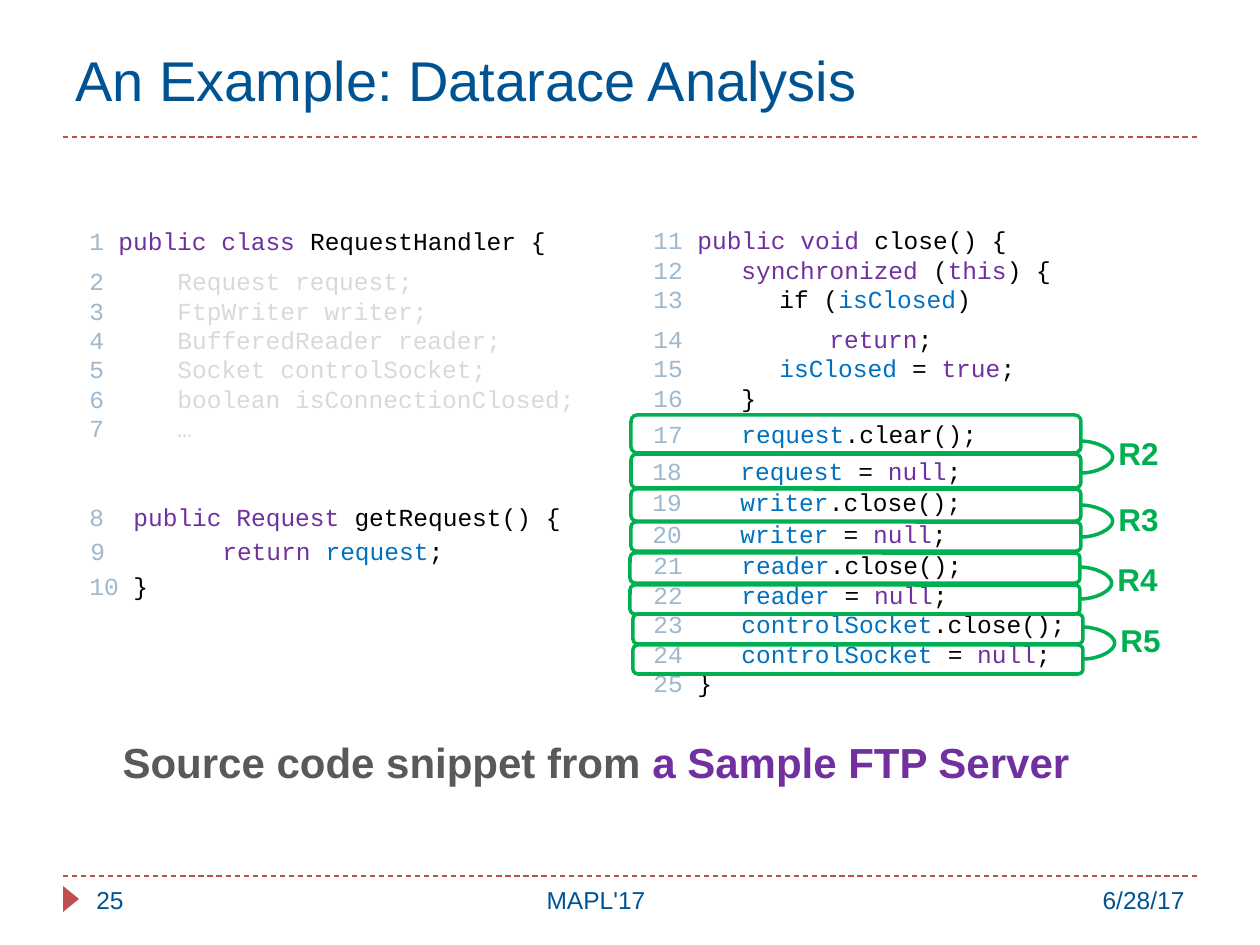
from lxml import etree
from pptx import Presentation
from pptx.dml.color import RGBColor
from pptx.enum.dml import MSO_LINE
from pptx.enum.shapes import MSO_CONNECTOR, MSO_SHAPE
from pptx.enum.text import MSO_ANCHOR, PP_ALIGN
from pptx.oxml.ns import qn
from pptx.util import Emu, Pt

EMU_PER_PX = 914400 / 126
COLORS = {
    "number": "9FB8CD", "keyword": "7030A0", "plain": "000000",
    "field": "0070C0", "faded": "D9D9D9", "title": "005392",
    "rule": "C0504D", "race": "00B050", "caption": "595959",
}

# Code lines: space before (pt), number, code start (px), (style, text) pairs
HANDLER_CLASS = [
    (0, 1, 29, ("keyword", "public class "), ("plain", "RequestHandler {")),
    (6, 2, 88, ("faded", "Request request;")),
    (0, 3, 88, ("faded", "FtpWriter writer;")),
    (0, 4, 88, ("faded", "BufferedReader reader;")),
    (0, 5, 88, ("faded", "Socket controlSocket;")),
    (0, 6, 88, ("faded", "boolean isConnectionClosed;")),
    (0, 7, 88, ("faded", "…")),
    (34, 8, 44, ("keyword", "public Request "), ("plain", "getRequest() {")),
    (22.5, 10, 44, ("plain", "}")),
]


def close_call(number, field, method="close"):
    return (0, number, 88, ("field", field), ("plain", f".{method}();"))


def null_assignment(number, field):
    return (0, number, 88, ("field", field + " "), ("plain", "= "),
            ("keyword", "null"), ("plain", ";"))


CLOSE_METHOD = [
    (0, 11, 44, ("keyword", "public void "), ("plain", "close() {")),
    (0, 12, 88, ("keyword", "synchronized"), ("plain", " ("),
     ("keyword", "this"), ("plain", ") {")),
    (0, 13, 126, ("plain", "if ("), ("field", "isClosed"), ("plain", ")")),
    (6, 14, 176, ("keyword", "return"), ("plain", ";")),
    (0, 15, 126, ("field", "isClosed "), ("plain", "= "),
     ("keyword", "true"), ("plain", ";")),
    (0, 16, 88, ("plain", "}")),
    (79, *close_call(21, "reader")[1:]),
    null_assignment(22, "reader"),
    close_call(23, "controlSocket"),
    null_assignment(24, "controlSocket"),
    (0, 25, 44, ("plain", "}")),
]

# Single code lines: left, top, width, line
SINGLE_LINES = [
    (78, 530, 381, (0, 9, 132, ("keyword", "return "), ("field", "request"),
                    ("plain", ";"))),
    (641, 413, 352, close_call(17, "request", "clear")),
    (640, 450, 337, null_assignment(18, "request")),
    (640, 481, 337, close_call(19, "writer")),
    (640, 513, 322, null_assignment(20, "writer")),
]

# Races: label, left, (top, height) of both boxes, curve top, label top
RACES = [
    ("R2", 631, ((415, 38), (454, 34)), 441, 428),
    ("R3", 631, ((489, 32), (522, 29)), 505, 494),
    ("R4", 630, ((553, 30), (585, 29)), 567, 554),
    ("R5", 633, ((614, 30), (645, 29)), 627, 615),
]


def px(n):
    return Emu(round(n * EMU_PER_PX))


def rgb(name):
    return RGBColor.from_string(COLORS[name])


def style_run(r, color, size, font="Arial", bold=False):
    r.font.name = font
    r.font.size = Pt(size)
    r.font.bold = bold
    r.font.color.rgb = rgb(color)


def add_box(shapes, x, y, w, h):
    tf = shapes.add_textbox(px(x), px(y), px(w), px(h)).text_frame
    tf.word_wrap = True
    return tf


def add_label(shapes, box, text, color, size, align=PP_ALIGN.LEFT, bold=False):
    tf = add_box(shapes, *box)
    tf.text = text
    p = tf.paragraphs[0]
    p.alignment = align
    style_run(p.runs[0], color, size, bold=bold)
    return tf


def add_code(shapes, box, lines):
    tf = add_box(shapes, *box)
    for i, (before, number, start, *parts) in enumerate(lines):
        p = tf.paragraphs[0] if i == 0 else tf.add_paragraph()
        p.line_spacing = Pt(16.8)
        p.space_before = Pt(before)
        tabs = etree.SubElement(p._p.get_or_add_pPr(), qn("a:tabLst"))
        etree.SubElement(tabs, qn("a:tab"), pos=str(px(start)), algn="l")
        for color, text in [("number", f"{number}\t"), *parts]:
            r = p.add_run()
            r.text = text
            style_run(r, color, 14, "Courier New")


def add_line(shapes, kind, x1, y1, x2, y2, color, width):
    c = shapes.add_connector(kind, px(x1), px(y1), px(x2), px(y2))
    c.line.color.rgb = rgb(color)
    c.line.width = Pt(width)
    etree.SubElement(c._element.spPr, qn("a:effectLst"))
    return c


def add_rule(shapes, y):
    c = add_line(shapes, MSO_CONNECTOR.STRAIGHT, 63, y, 1197, y, "rule", 0.75)
    c.line.dash_style = MSO_LINE.DASH


def add_race(s, label, left, boxes, curve_top, label_top):
    shapes = s.shapes.add_group_shape().shapes
    for top, height in boxes:
        sp = shapes.add_shape(MSO_SHAPE.ROUNDED_RECTANGLE, px(left), px(top),
                              px(450), px(height))
        sp.shadow.inherit = False
        sp.fill.background()
        sp.line.color.rgb = rgb("race")
        sp.line.width = Pt(2)
    right = left + 449
    c = add_line(shapes, MSO_CONNECTOR.CURVE, right, curve_top,
                 right + 1, curve_top + 32, "race", 2)
    # Bulge the curve 33 px to the right of the boxes
    guides = c._element.spPr.find(qn("a:prstGeom")).get_or_add_avLst()
    etree.SubElement(guides, qn("a:gd"), name="adj1", fmla="val 3300000")
    add_label(shapes, (left + 475, label_top, 68, 50), label, "race", 18,
              bold=True)


def add_footer(shapes):
    add_rule(shapes, 876)
    sp = shapes.add_shape(MSO_SHAPE.ISOSCELES_TRIANGLE, px(58), px(891),
                          px(26), px(16))
    sp.rotation = 90
    sp.shadow.inherit = False
    sp.fill.solid()
    sp.fill.fore_color.rgb = rgb("rule")
    sp.line.fill.background()
    add_label(shapes, (84, 879, 112, 50), "25", "title", 14)
    add_label(shapes, (197, 879, 798, 50), "MAPL'17", "title", 14,
              PP_ALIGN.CENTER)
    add_label(shapes, (882, 879, 315, 50), "6/28/17", "title", 14,
              PP_ALIGN.RIGHT)


def main():
    prs = Presentation()
    prs.slide_width, prs.slide_height = px(1260), px(945)
    s = prs.slides.add_slide(prs.slide_layouts[6])

    # Title
    add_rule(s.shapes, 137)
    tf = add_label(s.shapes, (63, 21, 1134, 117),
                   "An Example: Datarace Analysis", "title", 32)
    tf.vertical_anchor = MSO_ANCHOR.MIDDLE

    # Code listings
    add_code(s.shapes, (77, 220, 546, 580), HANDLER_CLASS)
    add_code(s.shapes, (641, 219, 618, 490), CLOSE_METHOD)
    for x, y, w, line in SINGLE_LINES:
        add_code(s.shapes, (x, y, w, 42), [line])

    # Racing statement pairs
    for race in RACES:
        add_race(s, *race)

    # Caption
    tf = add_label(s.shapes, (29, 730, 1134, 66), "Source code snippet from ",
                   "caption", 24, PP_ALIGN.CENTER, bold=True)
    r = tf.paragraphs[0].add_run()
    r.text = "a Sample FTP Server"
    style_run(r, "keyword", 24, bold=True)

    add_footer(s.shapes)
    prs.save("out.pptx")


if __name__ == "__main__":
    main()
